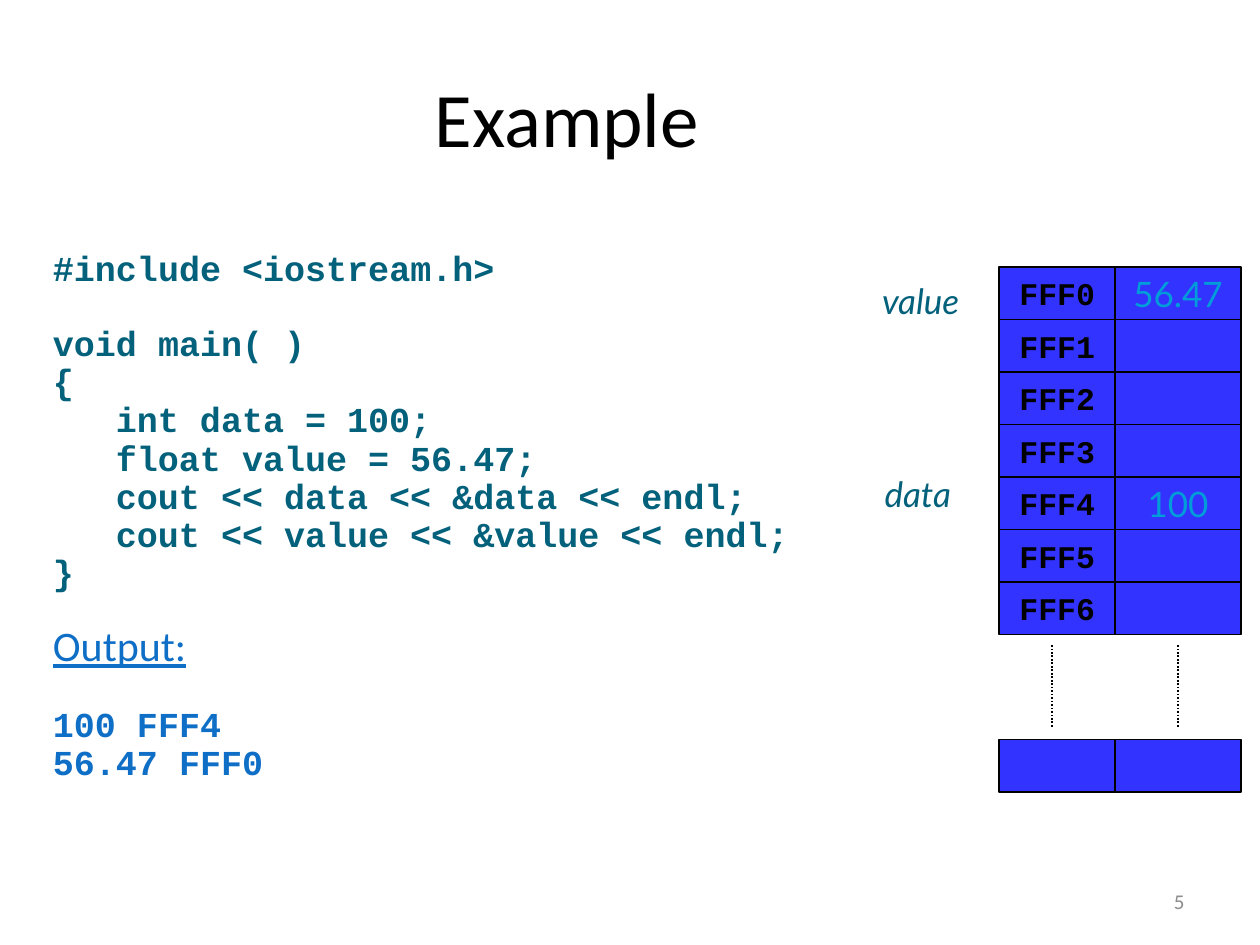
from dataclasses import dataclass

from lxml import etree
from pptx import Presentation
from pptx import util as u
from pptx.dml.color import RGBColor
from pptx.enum import dml, shapes, text
from pptx.oxml.ns import qn

COLORS = {
    "black": "000000",
    "cell": "3333FF",
    "value": "009DD9",
    "code": "04617B",
    "output": "0F6FC6",
    "number": "8C8C8C",
}


@dataclass(frozen=True)
class Style:
    font: str
    size: float
    color: str
    bold: bool = False
    italic: bool = False
    underline: bool = False


@dataclass(frozen=True)
class Line:
    text: str
    style: Style
    before: float = 5
    indent: float = 0


@dataclass(frozen=True)
class Column:
    left: float
    width: float
    style: Style
    texts: tuple[str, ...]
    dots_x: float


@dataclass(frozen=True)
class Label:
    text: str
    left: float
    top: float


TITLE = Style("Calibri", 44, "black")
NUMBER = Style("Calibri", 12, "number")
CODE = Style("Courier New", 20, "code", bold=True)
HEADING = Style("Calibri", 24, "output", underline=True)
OUTPUT = Style("Courier New", 20, "output", bold=True)
ADDRESS = Style("Courier New", 18, "black", bold=True)
VALUE = Style("Lato", 20, "value")
VARIABLE = Style("Lato", 20, "code", italic=True)

LINES = [
    Line("#include <iostream.h>", CODE),
    Line("void main( )", CODE, before=26),
    Line("{", CODE),
    Line("int data = 100;", CODE, indent=0.5),
    Line("float value = 56.47;", CODE, indent=0.5),
    Line("cout << data << &data << endl;", CODE, indent=0.5),
    Line("cout << value << &value << endl;", CODE, indent=0.5),
    Line("}", CODE),
    Line("Output:", HEADING, before=24),
    Line("100 FFF4", OUTPUT, before=26),
    Line("56.47 FFF0", OUTPUT),
]

ROW_TOP = 2.12
ROW_HEIGHT = 1.25 / 3
ROWS = (0, 1, 2, 3, 4, 5, 6, 9)
COLUMNS = [
    Column(8.85, 1, VALUE, ("56.47", "", "", "", "100", "", "", ""), 9.35),
    Column(7.93, 0.92, ADDRESS, tuple(f"FFF{i}" for i in range(7)) + ("",), 8.35),
]
LABELS = [Label("value", 7, 2.17), Label("data", 7.02, 3.7)]


def rgb(name: str) -> RGBColor:
    return RGBColor.from_string(COLORS[name])


def write(p, content: str, style: Style, align=text.PP_ALIGN.LEFT) -> None:
    p.text = content
    p.alignment = align
    for r in p.runs:
        f = r.font
        f.name, f.size = style.font, u.Pt(style.size)
        f.bold, f.italic, f.underline = style.bold, style.italic, style.underline
        f.color.rgb = rgb(style.color)


def add_box(s, left: float, top: float, width: float, height: float):
    tf = s.shapes.add_textbox(
        u.Inches(left), u.Inches(top), u.Inches(width), u.Inches(height)
    ).text_frame
    tf.word_wrap = True
    return tf


def add_title(s) -> None:
    sp = s.shapes.title
    sp.left, sp.top = u.Inches(0), u.Inches(0.3)
    sp.width, sp.height = u.Inches(9), u.Inches(1.25)
    tf = sp.text_frame
    tf.vertical_anchor = text.MSO_ANCHOR.MIDDLE
    write(tf.paragraphs[0], "Example", TITLE, text.PP_ALIGN.CENTER)


def add_code(s) -> None:
    tf = add_box(s, 0.42, 2, 6.75, 4.75)
    tf.margin_left = tf.margin_right = 0
    for i, line in enumerate(LINES):
        p = tf.add_paragraph() if i else tf.paragraphs[0]
        write(p, line.text, line.style)
        p.line_spacing = 0.7
        p.space_before = u.Pt(line.before)
        p._p.get_or_add_pPr().set("marL", str(u.Inches(line.indent)))


def add_cell(s, column: Column, row: int, content: str) -> None:
    sp = s.shapes.add_shape(
        shapes.MSO_SHAPE.RECTANGLE,
        u.Inches(column.left),
        u.Inches(ROW_TOP + row * ROW_HEIGHT),
        u.Inches(column.width),
        u.Inches(ROW_HEIGHT),
    )
    sp.shadow.inherit = False
    sp.fill.solid()
    sp.fill.fore_color.rgb = rgb("cell")
    sp.line.color.rgb = rgb("black")
    sp.line.width = u.Pt(1)
    if content:
        tf = sp.text_frame
        tf.word_wrap = False
        tf.vertical_anchor = text.MSO_ANCHOR.MIDDLE
        write(tf.paragraphs[0], content, column.style, text.PP_ALIGN.CENTER)


def add_dots(s, x: float) -> None:
    line = s.shapes.add_connector(
        shapes.MSO_CONNECTOR.STRAIGHT,
        u.Inches(x), u.Inches(5.12), u.Inches(x), u.Inches(5.78),
    )
    line.line.color.rgb = rgb("black")
    line.line.width = u.Pt(1)
    line.line.dash_style = dml.MSO_LINE.ROUND_DOT
    etree.SubElement(line._element.spPr, qn("a:effectLst"))


def add_label(s, label: Label) -> None:
    tf = add_box(s, label.left, label.top, 0.75, 0.43)
    tf.margin_left = tf.margin_right = 0
    tf.auto_size = text.MSO_AUTO_SIZE.SHAPE_TO_FIT_TEXT
    write(tf.paragraphs[0], label.text, VARIABLE)


def main() -> None:
    prs = Presentation()
    prs.slide_width, prs.slide_height = u.Inches(10), u.Inches(7.5)
    s = prs.slides.add_slide(prs.slide_layouts[5])

    number = add_box(s, 7.17, 6.95, 2.33, 0.4)
    number.vertical_anchor = text.MSO_ANCHOR.MIDDLE
    write(number.paragraphs[0], "5", NUMBER, text.PP_ALIGN.RIGHT)

    add_title(s)
    add_code(s)
    for column in COLUMNS:
        for row, content in zip(ROWS, column.texts):
            add_cell(s, column, row, content)
        add_dots(s, column.dots_x)
    for label in LABELS:
        add_label(s, label)

    prs.save("out.pptx")


if __name__ == "__main__":
    main()
